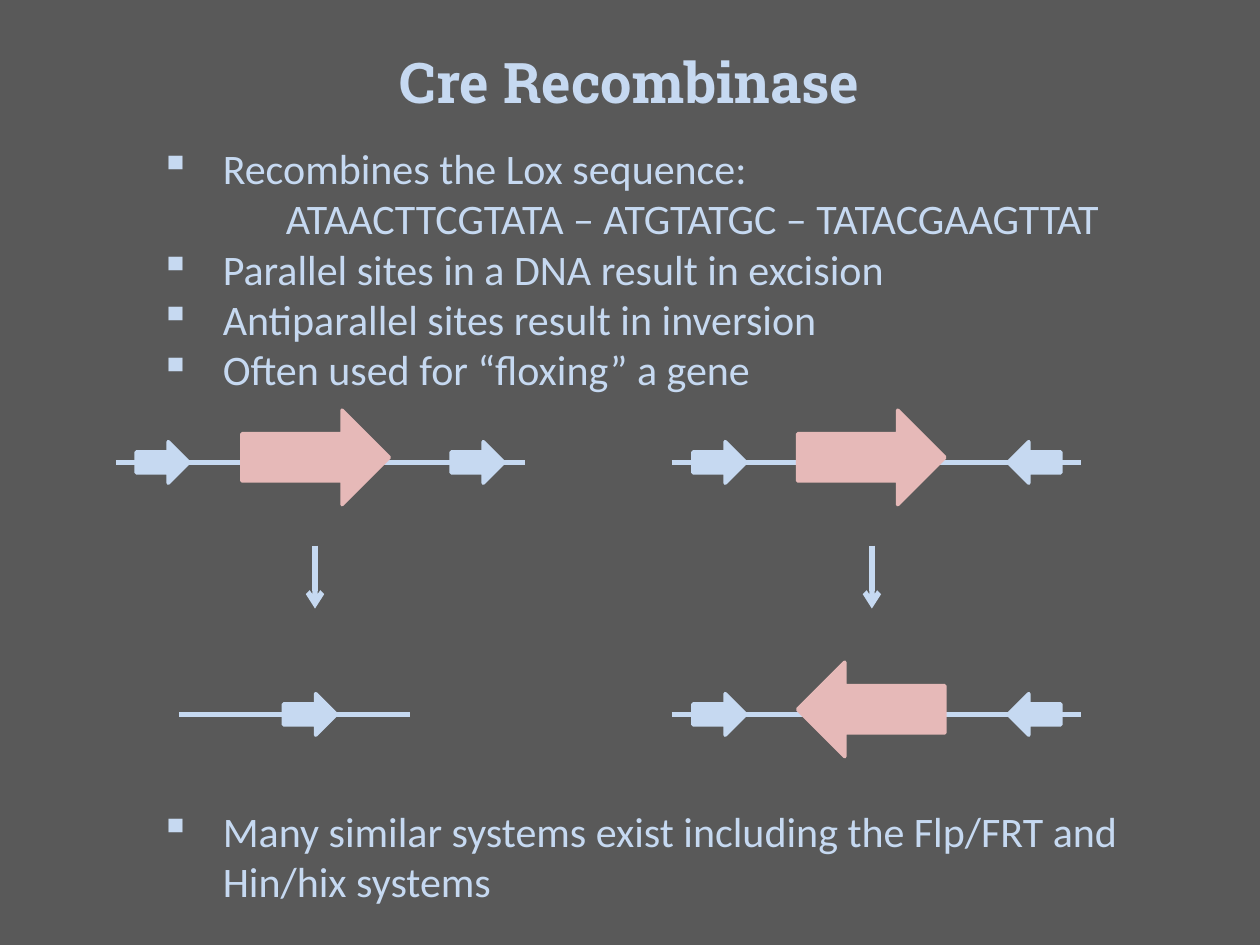
from lxml import etree
from pptx import Presentation
from pptx.dml.color import RGBColor
from pptx.enum import shapes, text
from pptx.oxml.ns import qn
from pptx.util import Inches, Pt

COLORS = {"background": "595959", "light": "C6D9F1", "gene": "E6B9B8"}
RIGHT = shapes.MSO_SHAPE.RIGHT_ARROW
LEFT = shapes.MSO_SHAPE.LEFT_ARROW
SITE_SIZE = (0.42, 0.33)
GENE_SIZE = (1.17, 0.75)
BEFORE_Y, AFTER_Y = 3.67, 5.67


def color(name):
    return RGBColor.from_string(COLORS[name])


def format_font(font, name, size, bold=False):
    font.name = name
    font.size = Pt(size)
    font.bold = bold
    font.color.rgb = color("light")


def add_title(slide, wording):
    title = slide.shapes.title
    title.left, title.top = Inches(0), Inches(0.33)
    title.width, title.height = Inches(10), Inches(0.64)
    title.text_frame.text = wording
    title.text_frame.vertical_anchor = text.MSO_ANCHOR.TOP
    paragraph = title.text_frame.paragraphs[0]
    paragraph.alignment = text.PP_ALIGN.CENTER
    format_font(paragraph.font, "Roboto Slab", 32, bold=True)


def indent(paragraph, bulleted):
    """Hang a square bullet at half an inch, or indent plain text by an inch."""
    properties = paragraph._p.get_or_add_pPr()
    properties.set("marL", str(Inches(0.5 if bulleted else 1)))
    properties.set("indent", str(Inches(-0.5 if bulleted else 0)))
    if bulleted:
        etree.SubElement(properties, qn("a:buChar")).set("char", "▪")
    else:
        etree.SubElement(properties, qn("a:buNone"))


def add_list(slide, top, height, items):
    """Add a text box of (wording, bulleted) items."""
    box = slide.shapes.add_textbox(Inches(1.17), Inches(top), Inches(8.67), Inches(height))
    frame = box.text_frame
    frame.word_wrap = True
    for index, (wording, bulleted) in enumerate(items):
        paragraph = frame.add_paragraph() if index else frame.paragraphs[0]
        paragraph.text = wording
        indent(paragraph, bulleted)
        format_font(paragraph.font, "Calibri", 24)


def add_line(slide, x1, y1, x2, y2, arrowhead=False):
    line = slide.shapes.add_connector(
        shapes.MSO_CONNECTOR.STRAIGHT, Inches(x1), Inches(y1), Inches(x2), Inches(y2))
    line.line.color.rgb = color("light")
    line.line.width = Pt(3)
    if arrowhead:
        etree.SubElement(line.line._get_or_add_ln(), qn("a:tailEnd")).set("type", "arrow")
    etree.SubElement(line._element.spPr, qn("a:effectLst"))


def add_block_arrow(slide, kind, left, middle, size, color_name):
    width, height = size
    arrow = slide.shapes.add_shape(
        kind, Inches(left), Inches(middle - height / 2), Inches(width), Inches(height))
    arrow.shadow.inherit = False
    arrow.fill.solid()
    arrow.fill.fore_color.rgb = color(color_name)
    arrow.line.color.rgb = color(color_name)
    arrow.line.width = Pt(2)


def add_floxed_gene(slide, start, end, y, sites, gene):
    """Draw a DNA strand with (kind, left) lox sites around a (kind, left) gene."""
    add_line(slide, start, y, end, y)
    for kind, left in sites:
        add_block_arrow(slide, kind, left, y, SITE_SIZE, "light")
    if gene:
        kind, left = gene
        add_block_arrow(slide, kind, left, y - 0.04, GENE_SIZE, "gene")


def main():
    presentation = Presentation()
    presentation.slide_width, presentation.slide_height = Inches(10), Inches(7.5)
    slide = presentation.slides.add_slide(presentation.slide_layouts[5])
    slide.background.fill.solid()
    slide.background.fill.fore_color.rgb = color("background")

    add_title(slide, "Cre Recombinase")
    add_list(slide, 1.08, 2.12, [
        ("Recombines the Lox sequence:", True),
        ("ATAACTTCGTATA – ATGTATGC – TATACGAAGTTAT", False),
        ("Parallel sites in a DNA result in excision", True),
        ("Antiparallel sites result in inversion", True),
        ("Often used for “floxing” a gene", True),
    ])

    # Excision between parallel sites
    add_floxed_gene(slide, 0.92, 4.17, BEFORE_Y, [(RIGHT, 1.08), (RIGHT, 3.58)], (RIGHT, 1.92))
    add_floxed_gene(slide, 1.42, 3.25, AFTER_Y, [(RIGHT, 2.25)], None)

    # Inversion between antiparallel sites
    antiparallel = [(RIGHT, 5.5), (LEFT, 8)]
    for y, direction in ((BEFORE_Y, RIGHT), (AFTER_Y, LEFT)):
        add_floxed_gene(slide, 5.33, 8.58, y, antiparallel, (direction, 6.33))

    for x in (2.5, 6.92):
        add_line(slide, x, 4.33, x, 4.83, arrowhead=True)

    add_list(slide, 6.34, 0.91, [
        ("Many similar systems exist including the Flp/FRT and Hin/hix systems", True),
    ])
    presentation.save("out.pptx")


if __name__ == "__main__":
    main()
